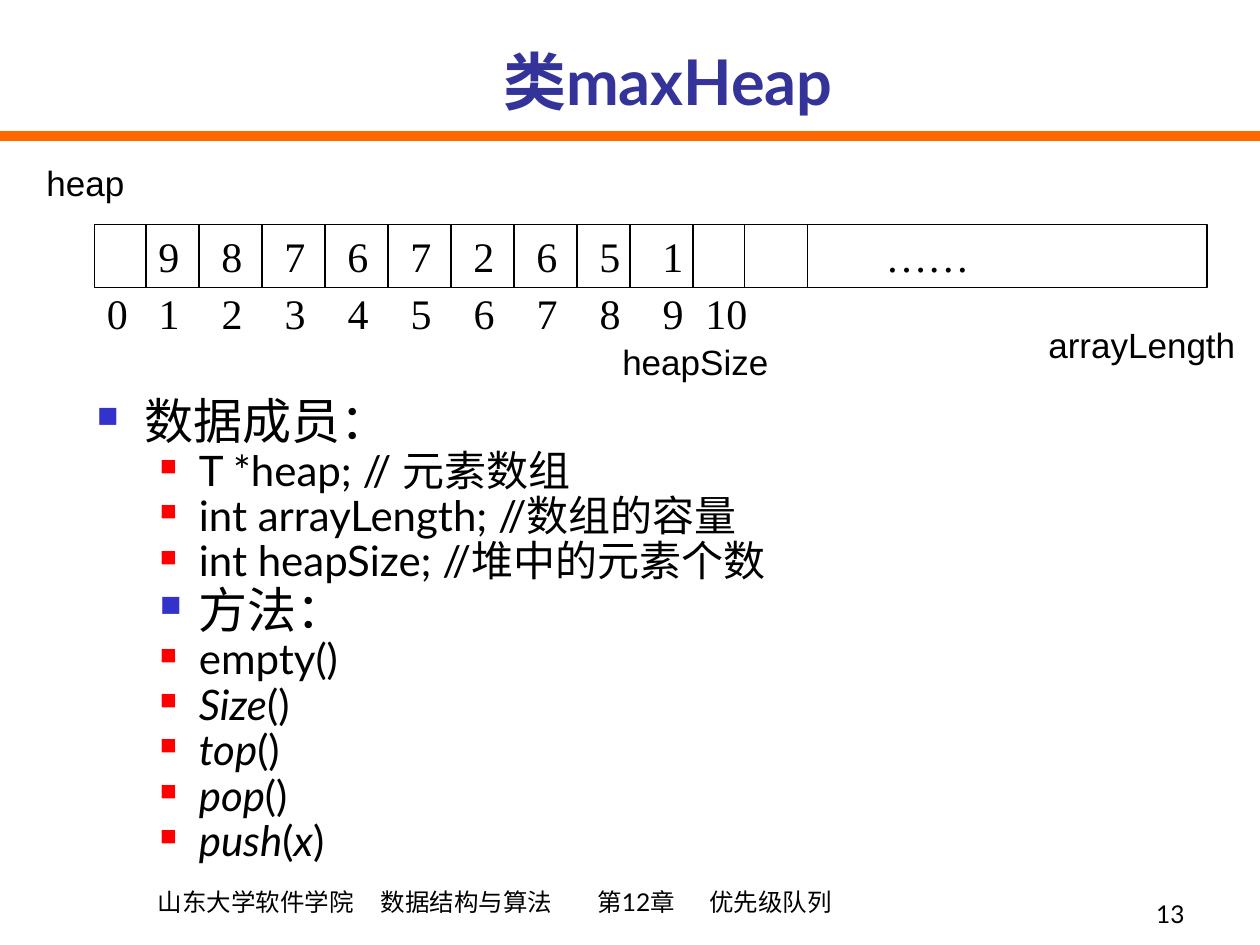
import pptx
import pptx.util
import pptx.dml.color
import pptx.enum.shapes
import pptx.enum.text
import pptx.oxml.ns
import lxml.etree

Inches, Pt = pptx.util.Inches, pptx.util.Pt
RGBColor = pptx.dml.color.RGBColor
ALIGN = pptx.enum.text.PP_ALIGN
ANCHOR = pptx.enum.text.MSO_ANCHOR

BLACK = RGBColor(0x00, 0x00, 0x00)
NAVY = RGBColor(0x33, 0x33, 0x99)
ORANGE = RGBColor(0xFF, 0x66, 0x00)
BLUE = RGBColor(0x33, 0x33, 0xCC)
RED = RGBColor(0xFF, 0x00, 0x00)

MEMBERS = "T *heap; // 元素数组", "int arrayLength; //数组的容量", "int heapSize; //堆中的元素个数"
METHODS = (
    [("empty()", False)],
    [("Size", True), ("()", False)],
    [("top", True), ("()", False)],
    [("pop", True), ("()", False)],
    [("push", True), ("(", False), ("x", True), (")", False)],
)
HEAP = [9, 8, 7, 6, 7, 2, 6, 5, 1]
DIVIDERS = [1.16, 1.58, 2.08, 2.58, 3.08, 3.58, 4.08, 4.58, 5, 5.5, 5.91, 6.41]
# Tab stops of the digits, measured from the text edge of the array
DIGIT_STOPS = [0.41 + 0.5 * i for i in range(len(HEAP))]


def add_element(parent, tag, **attributes):
    element = lxml.etree.SubElement(parent, pptx.oxml.ns.qn(tag))
    for name, value in attributes.items():
        element.set(name, str(value))
    return element


def add_span(para, text, size, font="Lato", color=BLACK, bold=False, italic=False):
    span = para.add_run()
    span.text = text
    span.font.size = Pt(size)
    span.font.name = font
    span.font.color.rgb = color
    span.font.bold = bold
    span.font.italic = italic


def set_tabs(para, stops):
    tabs = add_element(para._p.get_or_add_pPr(), "a:tabLst")
    for stop in stops:
        add_element(tabs, "a:tab", pos=Inches(stop), algn="l")


def set_bullet(para, color, percent, margin, hanging):
    properties = para._p.get_or_add_pPr()
    properties.set("marL", str(Inches(margin)))
    properties.set("indent", str(-Inches(hanging)))
    add_element(add_element(properties, "a:buClr"), "a:srgbClr", val=color)
    add_element(properties, "a:buSzPct", val=percent * 1000)
    add_element(properties, "a:buChar", char="■")


def add_box(page, left, top, width, height, anchor=ANCHOR.TOP):
    box = page.shapes.add_textbox(Inches(left), Inches(top), Inches(width), Inches(height))
    box.text_frame.word_wrap = True
    box.text_frame.vertical_anchor = anchor
    return box


def add_line(page, x1, y1, x2, y2, color, weight):
    line = page.shapes.add_connector(
        pptx.enum.shapes.MSO_CONNECTOR.STRAIGHT,
        Inches(x1), Inches(y1), Inches(x2), Inches(y2))
    line.line.color.rgb = color
    line.line.width = Pt(weight)
    add_element(line._element.spPr, "a:effectLst")


def add_title(page, left, top, width, height):
    box = add_box(page, left, top, width, height, ANCHOR.BOTTOM)
    para = box.text_frame.paragraphs[0]
    para.alignment = ALIGN.CENTER
    add_span(para, "类maxHeap", 36, color=NAVY, bold=True)
    add_line(page, 0, 1.08, 10, 1.08, ORANGE, 6)


def add_footer(page, left, top, width, height):
    box = add_box(page, left, top, width, height, ANCHOR.BOTTOM)
    box.text_frame.margin_left = Inches(0.82)
    para = box.text_frame.paragraphs[0]
    set_tabs(para, [1.77, 3.49, 4.38])
    add_span(para, "山东大学软件学院\t数据结构与算法\t第12章\t优先级队列", 14)


def add_page_number(page, left, top, width, height):
    box = add_box(page, left, top, width, height, ANCHOR.BOTTOM)
    para = box.text_frame.paragraphs[0]
    para.alignment = ALIGN.RIGHT
    add_span(para, "13", 14)


def add_outline(page, left, top, width, height):
    frame = add_box(page, left, top, width, height).text_frame
    items = [([("数据成员：", False)], True)]
    items += [([(member, False)], False) for member in MEMBERS]
    items += [([("方法：", False)], True)]
    items += [(method, False) for method in METHODS]
    for index, (spans, heading) in enumerate(items):
        para = frame.add_paragraph() if index else frame.paragraphs[0]
        margin, hanging = (0.81, 0.31) if index else (0.38, 0.38)
        para.level = 1 if index else 0
        color, percent, size = (BLUE, 60, 28) if heading else (RED, 55, 24)
        set_bullet(para, color, percent, margin, hanging)
        para.line_spacing = 0.9
        for text, italic in spans:
            add_span(para, text, size, italic=italic)


def add_array(page, left, top, width, height):
    # Frame with the stored values
    frame = page.shapes.add_shape(
        pptx.enum.shapes.MSO_SHAPE.RECTANGLE,
        Inches(left), Inches(top), Inches(width), Inches(height))
    frame.shadow.inherit = False
    frame.fill.background()
    frame.line.color.rgb = BLACK
    frame.line.width = Pt(0.75)
    frame.text_frame.vertical_anchor = ANCHOR.MIDDLE
    values = frame.text_frame.paragraphs[0]
    values.alignment = ALIGN.LEFT
    set_tabs(values, DIGIT_STOPS + [6.18])
    add_span(values, "\t" + "\t".join(map(str, HEAP)) + "\t……", 24, "Times New Roman")
    for x in DIVIDERS:
        add_line(page, x, top, x, top + height, BLACK, 0.75)

    # Indices under the cells
    box = add_box(page, left, top + 0.45, width - 0.25, 0.5)
    indices = box.text_frame.paragraphs[0]
    set_tabs(indices, DIGIT_STOPS + [4.75])
    add_span(indices, "\t".join(map(str, range(11))), 24, "Times New Roman")


def add_label(page, text, left, top, width, height, inset=True):
    box = add_box(page, left, top, width, height)
    if not inset:
        frame = box.text_frame
        frame.margin_left = frame.margin_right = frame.margin_top = frame.margin_bottom = 0
    add_span(box.text_frame.paragraphs[0], text, 20, "Arial")


def main():
    deck = pptx.Presentation()
    deck.slide_width, deck.slide_height = Inches(10), Inches(7.5)
    page = deck.slides.add_slide(deck.slide_layouts[6])
    add_footer(page, 0.43, 6.82, 6.98, 0.5)
    add_page_number(page, 7.42, 6.92, 2.08, 0.5)
    add_title(page, 1.08, 0, 8.44, 0.99)
    add_outline(page, 0.67, 3.1, 8.9, 3.99)
    add_array(page, 0.75, 1.78, 8.83, 0.5)
    add_label(page, "heapSize", 4.84, 2.65, 1.65, 0.44)
    add_label(page, "arrayLength", 8.32, 2.57, 1.57, 0.33, inset=False)
    add_label(page, "heap", 0.27, 1.23, 0.94, 0.44)
    deck.save("out.pptx")


if __name__ == "__main__":
    main()
